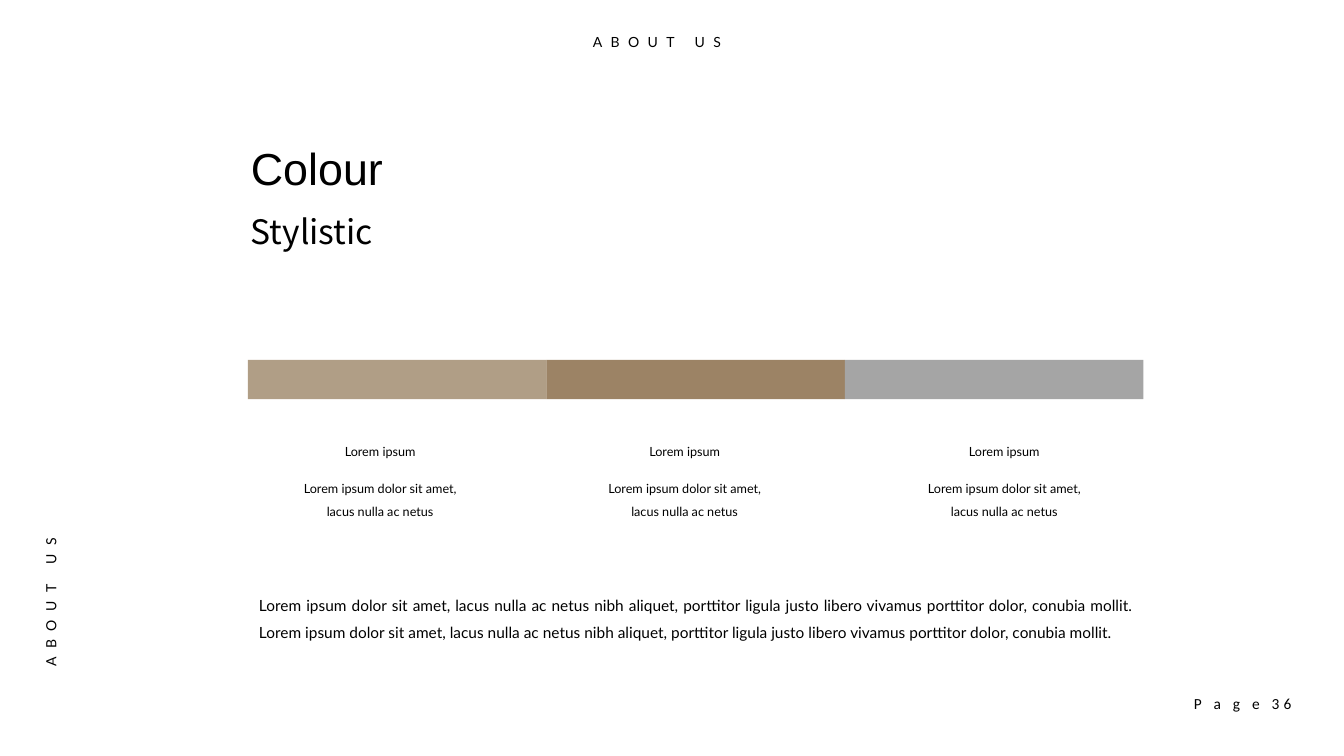
from pptx import Presentation
from pptx.dml.color import RGBColor
from pptx.enum.shapes import MSO_SHAPE as Shape
from pptx.enum.text import MSO_ANCHOR as Anchor, PP_ALIGN as Align
from pptx.util import Inches, Pt

BLACK = RGBColor(0x00, 0x00, 0x00)
SAND = RGBColor(0xB0, 0x9E, 0x86)
BROWN = RGBColor(0x9C, 0x83, 0x65)
GREY = RGBColor(0xA5, 0xA5, 0xA5)

WIDTH, HEIGHT = 13.33, 7.5
LOREM = "Lorem ipsum dolor sit amet, lacus nulla ac netus"
SENTENCE = (LOREM + " nibh aliquet, porttitor ligula justo libero vivamus "
            "porttitor dolor, conubia mollit.")


def add_text(page, text, left, top, width, height, size=11, font="Lato",
             align=Align.LEFT, anchor=Anchor.TOP, line_spacing=None,
             tracking=0, rotation=0):
    box = page.shapes.add_textbox(*map(Inches, (left, top, width, height)))
    box.rotation = rotation
    frame = box.text_frame
    frame.word_wrap = True
    frame.vertical_anchor = anchor
    para = frame.paragraphs[0]
    para.alignment = align
    if line_spacing:
        para.line_spacing = line_spacing
    span = para.add_run()
    span.text = text
    span.font.size = Pt(size)
    span.font.name = font
    span.font.color.rgb = BLACK
    if tracking:
        # Letter spacing is stored in hundredths of a point
        span.font._element.set("spc", str(tracking * 100))
    return box


def add_running_heads(page, width, height):
    label = dict(size=10, align=Align.CENTER, tracking=6)
    label_width, label_height = 2.99, 0.27
    add_text(page, "ABOUT US", 5.02, 0.28, label_width, label_height, **label)
    add_text(page, "ABOUT US", -0.99, 5.84, label_width, label_height,
             rotation=270, **label)
    add_text(page, "P a g e 36", width - 2.58, height - 0.73, 2.16, 0.41,
             font="Calibri", align=Align.RIGHT, anchor=Anchor.MIDDLE,
             tracking=3)


def add_heading(page, left, top):
    add_text(page, "Colour", left, top, 3.86, 0.64, size=32, font="Arial",
             align=Align.JUSTIFY)
    add_text(page, "Stylistic", left, top + 0.69, 3.14, 0.5, size=24,
             font="Noto Sans CJK SC")


def add_swatches(page, left, top, width, height, colours):
    column = width / len(colours)
    for index, colour in enumerate(colours):
        swatch = page.shapes.add_shape(
            Shape.RECTANGLE, Inches(left + index * column), Inches(top),
            Inches(column), Inches(height))
        swatch.shadow.inherit = False
        swatch.fill.solid()
        swatch.fill.fore_color.rgb = colour
        swatch.line.fill.background()


def add_caption(page, left, top, width):
    caption = dict(size=9, align=Align.CENTER)
    add_text(page, "Lorem ipsum", left, top, width, 0.25, **caption)
    add_text(page, LOREM, left, top + 0.3, width, 0.56, line_spacing=1.5,
             **caption)


def main():
    deck = Presentation()
    deck.slide_width, deck.slide_height = Inches(WIDTH), Inches(HEIGHT)
    page = deck.slides.add_slide(deck.slide_layouts[6])

    add_running_heads(page, WIDTH, HEIGHT)
    add_heading(page, 2.39, 1.35)

    # Colour bar and the captions beneath it
    add_swatches(page, 2.46, 3.57, 8.88, 0.39, (SAND, BROWN, GREY))
    for left in (2.85, 5.87, 9.04):
        add_caption(page, left, 4.35, 1.84)

    # Closing paragraph
    add_text(page, f"{SENTENCE} {SENTENCE}", 2.47, 5.77, 8.87, 0.66,
             align=Align.JUSTIFY, line_spacing=1.5)

    deck.save("out.pptx")


if __name__ == "__main__":
    main()
